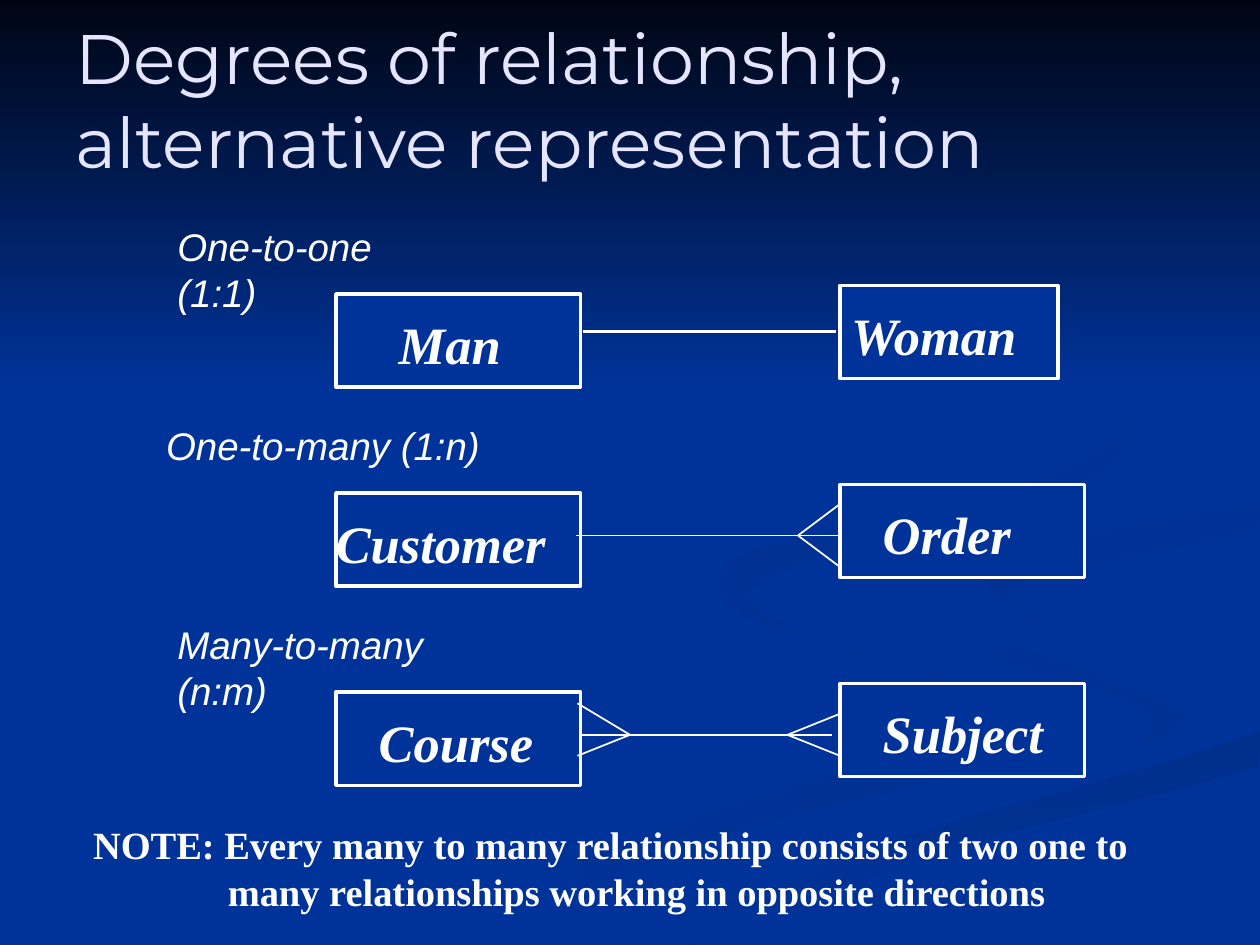
import pptx
import pptx.util
import pptx.dml.color
import pptx.enum.shapes
import pptx.enum.text
from dataclasses import dataclass

Pt = pptx.util.Pt
ANCHOR = pptx.enum.text.MSO_ANCHOR
AUTO = pptx.enum.text.MSO_AUTO_SIZE


@dataclass(frozen=True)
class Theme:
    blue: str = "003399"
    night: str = "000514"
    white: str = "FFFFFF"
    lilac: str = "E5E5FF"
    title_font: str = "Montserrat"
    label_font: str = "Arial"
    entity_font: str = "Times New Roman"
    title: int = 40
    entity: int = 30
    body: int = 22


T = Theme()
W, H = 720, 540
PITCH = 113.75
BOX_W, BOX_H = 139.7, 53.3
LEFT_X, LEFT_Y = 192, 168
RIGHT_X, RIGHT_Y = 480, 163.1
LABEL_Y = 123.8
CURVE_STEPS = 4

TITLE = "Degrees of relationship, alternative representation"
# label: text, x, width; entity: text, box width, text x, text width
ROWS = [
    (("One-to-one (1:1)", 94.3, 176.4),
     ("Man", BOX_W, 195.8, 134.6), ("Woman", 124.6, 454.3, 218.2)),
    (("One-to-many (1:n)", 87.8, 193.7),
     ("Customer", BOX_W, 159.8, 200.9), ("Order", BOX_W, 472.3, 169.9)),
    (("Many-to-many (n:m)", 94.3, 211.7),
     ("Course", BOX_W, 184.3, 169.9), ("Subject", BOX_W, 472.3, 169.9)),
]
NOTE = [("NOTE: Every many to many relationship consists of two one to", 0),
        ("many relationships working in opposite directions", 77)]
# start x, end x, y, weight
LINKS = [(333.4, 478, 189.4, 2), (329, 481, 306, 1), (331.2, 475.2, 419.9, 1)]
# tip x, edge x, y, rise, drop
CROW_FEET = [(456, 480, 306, 18, 18), (450, 480, 419.9, 12, 12),
             (360, 330, 419.9, 18, 12)]

# start colour, end colour, clockwise angle, points on the outline
SWIRLS = [
    (T.blue, "003193", 0, [
        (562, 398), (462, 365), (414, 330), (427, 353), (549, 394),
        (552, 423), (417, 460), (216, 539), (260, 539), (406, 479),
        (562, 436)]),
    (T.blue, "003193", 45, [
        (679, 410), (598, 374), (521, 334), (552, 369), (653, 405),
        (644, 436)]),
    ("002F8C", T.blue, 90, [
        (362, 539), (411, 539), (520, 491), (719, 438), (719, 418),
        (574, 459)]),
    (T.blue, T.blue, 0, [
        (522, 334), (571, 366), (679, 410), (535, 463), (343, 539),
        (501, 482), (719, 418), (719, 387), (562, 333), (719, 289),
        (719, 279), (567, 304)]),
    ("003091", T.blue, 45, [
        (562, 331), (595, 357), (584, 333), (719, 302), (719, 289),
        (591, 312)]),
    ("002F8E", T.blue, 45, [
        (492, 310), (594, 289), (644, 248), (607, 198), (549, 168),
        (616, 205), (638, 251), (549, 287), (429, 315), (418, 341),
        (448, 360), (427, 338)]),
]


def rgb(c):
    return pptx.dml.color.RGBColor.from_string(c)


def smooth_outline(points):
    n = len(points)
    out = []
    for i in range(n):
        before, a, b, after = (points[(i + k) % n] for k in (-1, 0, 1, 2))
        for step in range(CURVE_STEPS):
            t = step / CURVE_STEPS
            x, y = (p1 + t / 2 * (p2 - p0 + t * (2 * p0 - 5 * p1 + 4 * p2 - p3
                                                + t * (3 * (p1 - p2) + p3 - p0)))
                    for p0, p1, p2, p3 in zip(before, a, b, after))
            out.append((min(x, W), min(y, H)))
    return out


def add_run(p, text, font, size, color, bold=False, italic=False):
    r = p.add_run()
    r.text = text
    r.font.name, r.font.size = font, Pt(size)
    r.font.bold, r.font.italic = bold, italic
    r.font.color.rgb = rgb(color)


def add_text(s, x, y, w, h, lines, font, size, bold=False, italic=False, wrap=False):
    tf = s.shapes.add_textbox(Pt(x), Pt(y), Pt(w), Pt(h)).text_frame
    tf.word_wrap = wrap
    tf.auto_size = AUTO.SHAPE_TO_FIT_TEXT
    for i, (text, indent) in enumerate(lines):
        p = tf.add_paragraph() if i else tf.paragraphs[0]
        if indent:
            p._p.get_or_add_pPr().set("marL", str(Pt(indent)))
        add_run(p, text, font, size, T.white, bold, italic)


def add_backdrop(s, start, end, angle, points):
    fb = s.shapes.build_freeform(Pt(points[0][0]), Pt(points[0][1]))
    fb.add_line_segments([(Pt(x), Pt(y)) for x, y in points[1:]], close=True)
    sp = fb.convert_to_shape()
    sp.shadow.inherit = False
    sp.line.fill.background()
    if start == end:
        sp.fill.solid()
        sp.fill.fore_color.rgb = rgb(start)
        return
    sp.fill.gradient()
    sp.fill.gradient_angle = (360 - angle) % 360
    for stop, color in zip(sp.fill.gradient_stops, (start, end)):
        stop.color.rgb = rgb(color)


def add_entity(s, x, y, text, w, text_x, text_w):
    sp = s.shapes.add_shape(pptx.enum.shapes.MSO_SHAPE.RECTANGLE,
                            Pt(x), Pt(y), Pt(w), Pt(BOX_H))
    sp.shadow.inherit = False
    sp.fill.solid()
    sp.fill.fore_color.rgb = rgb(T.blue)
    sp.line.color.rgb, sp.line.width = rgb(T.white), Pt(2)
    add_text(s, text_x, y + 6.5, text_w, 42.5, [(text, 25)],
             T.entity_font, T.entity, True, True, True)


def add_line(s, x1, y1, x2, y2, weight=1):
    c = s.shapes.add_connector(pptx.enum.shapes.MSO_CONNECTOR.STRAIGHT,
                               Pt(x1), Pt(y1), Pt(x2), Pt(y2))
    c.line.color.rgb, c.line.width = rgb(T.white), Pt(weight)
    c._element.spPr.append(pptx.oxml.parse_xml(
        '<a:effectLst xmlns:a="http://schemas.openxmlformats.org/drawingml/2006/main"/>'))


def add_title(s):
    t = s.shapes.title
    t.element.getparent().append(t.element)
    t.left, t.top, t.width, t.height = Pt(36), Pt(18), Pt(612), Pt(90)
    tf = t.text_frame
    tf.word_wrap, tf.auto_size = True, AUTO.NONE
    tf.vertical_anchor = ANCHOR.BOTTOM
    p = tf.paragraphs[0]
    p.alignment = pptx.enum.text.PP_ALIGN.LEFT
    add_run(p, TITLE, T.title_font, T.title, T.lilac)


def main():
    prs = pptx.Presentation()
    prs.slide_width, prs.slide_height = Pt(W), Pt(H)
    s = prs.slides.add_slide(prs.slide_layouts[5])
    s.background.fill.solid()
    s.background.fill.fore_color.rgb = rgb(T.blue)
    for start, end, angle, points in SWIRLS:
        add_backdrop(s, start, end, angle, smooth_outline(points))
    add_backdrop(s, T.night, T.blue, 90, [(0, 0), (0, 222), (W, 222), (W, 0)])
    add_title(s)
    for i, ((label, x, w), left, right) in enumerate(ROWS):
        dy = i * PITCH
        add_entity(s, LEFT_X, LEFT_Y + dy, *left)
        add_entity(s, RIGHT_X, RIGHT_Y + dy, *right)
        add_text(s, x, LABEL_Y + dy, w, 33.1, [(label, 0)],
                 T.label_font, T.body, italic=True)
    add_text(s, 46.1, 465.8, 606.2, 59, NOTE, T.entity_font, T.body, bold=True)
    for x1, x2, y, weight in LINKS:
        add_line(s, x1, y, x2, y, weight)
    for tip, edge, y, rise, drop in CROW_FEET:
        for end_y in (y - rise, y + drop):
            add_line(s, tip, y, edge, end_y)
    prs.save("out.pptx")


if __name__ == "__main__":
    main()
